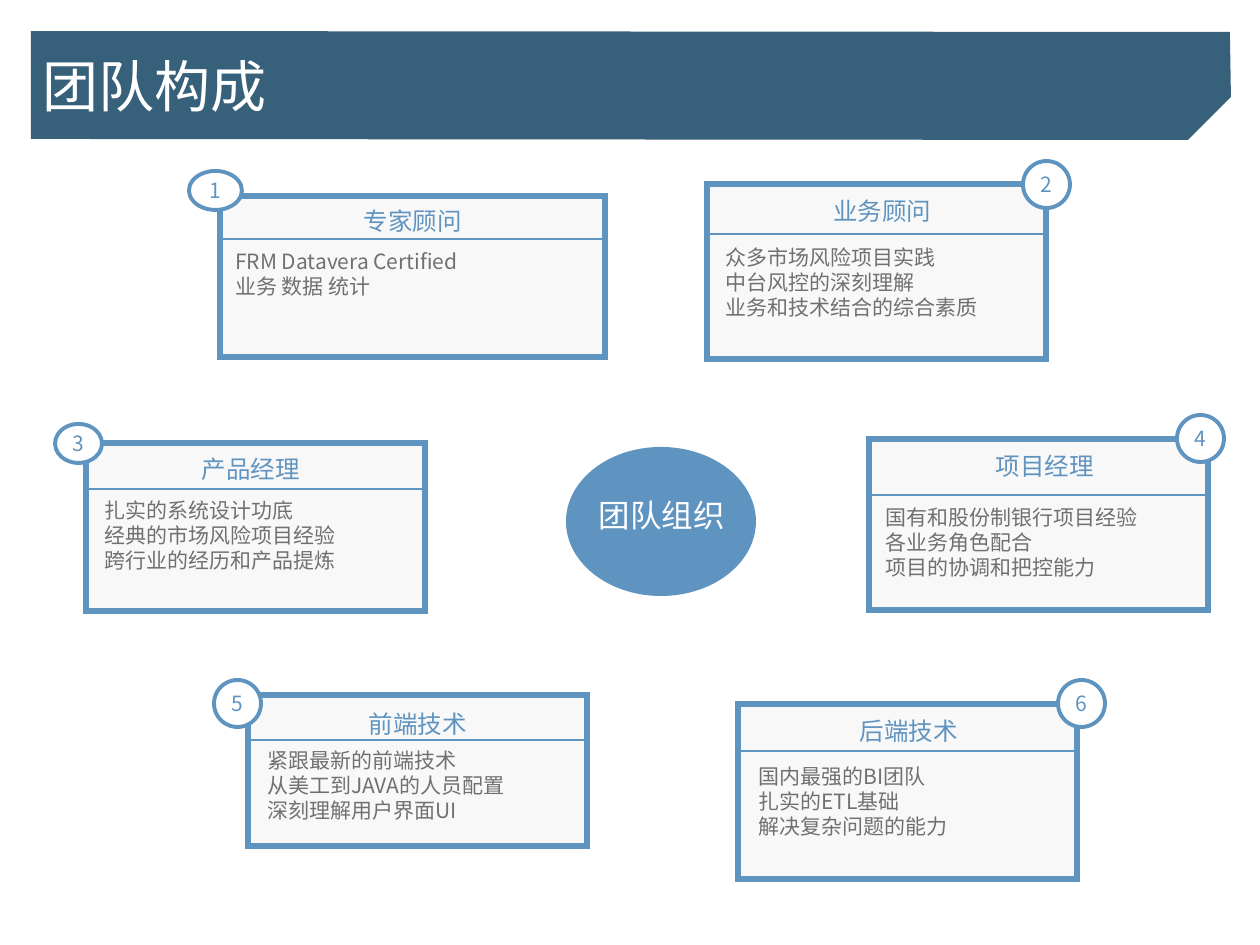
from dataclasses import dataclass

from lxml.etree import SubElement
from pptx import Presentation
from pptx.dml.color import RGBColor
from pptx.enum.shapes import MSO_CONNECTOR, MSO_SHAPE
from pptx.enum.text import MSO_ANCHOR as Anchor, MSO_AUTO_SIZE as AutoSize, PP_ALIGN as Align
from pptx.oxml.ns import qn
from pptx.util import Emu, Pt

EMU_PER_PX = 914400 / 126
RULE_INSET = 2
HEADING_HEIGHT = 43


@dataclass(frozen=True)
class Theme:
    font: str = "Noto Sans CJK SC"
    banner: str = "37617A"
    accent: str = "6094C0"
    panel: str = "F8F8F8"
    white: str = "FFFFFF"
    body: str = "707070"
    title_size: int = 32
    center_size: int = 18
    heading_size: int = 14
    body_size: int = 12


@dataclass(frozen=True)
class Card:
    """One team role; boxes are (left, top, width, height) in px."""
    number: int
    heading: str
    lines: tuple
    frame: tuple
    heading_box: tuple
    rule_y: int
    badge: tuple
    body_box: tuple
    heading_anchor: Anchor = Anchor.MIDDLE


THEME = Theme()

CARDS = (
    Card(1, "专家顾问", ("FRM Datavera Certified", "业务 数据 统计"),
         (220, 196, 385, 161), (228, 199, 370), 239,
         (189, 171, 53, 39), (223, 242, 364, 63)),
    Card(2, "业务顾问", ("众多市场风险项目实践", "中台风控的深刻理解", "业务和技术结合的综合素质"),
         (707, 184, 339, 175), (687, 190, 391), 234,
         (1023, 161, 47, 47), (713, 238, 326, 89), Anchor.TOP),
    Card(3, "产品经理", ("扎实的系统设计功底", "经典的市场风险项目经验", "跨行业的经历和产品提炼"),
         (86, 443, 339, 168), (88, 447, 326), 489,
         (55, 424, 47, 39), (92, 491, 326, 89)),
    Card(4, "项目经理", ("国有和股份制银行项目经验", "各业务角色配合", "项目的协调和把控能力"),
         (869, 439, 339, 171), (871, 445, 348), 495,
         (1177, 415, 47, 47), (873, 498, 326, 89), Anchor.TOP),
    Card(5, "前端技术", ("紧跟最新的前端技术", "从美工到JAVA的人员配置", "深刻理解用户界面UI"),
         (248, 695, 339, 151), (255, 702, 326), 740,
         (214, 680, 47, 47), (255, 741, 326, 89)),
    Card(6, "后端技术", ("国内最强的BI团队", "扎实的ETL基础", "解决复杂问题的能力"),
         (738, 704, 339, 175), (746, 709, 326), 751,
         (1058, 680, 47, 47), (746, 757, 326, 89)),
)


def px(*lengths):
    return [Emu(round(length * EMU_PER_PX)) for length in lengths]


def rgb(color):
    return RGBColor.from_string(color)


def write(frame, lines, size, color, align=Align.LEFT, anchor=Anchor.TOP):
    frame.text = "\n".join(lines)
    frame.vertical_anchor = anchor
    for para in frame.paragraphs:
        para.alignment = align
        for span in para.runs:
            span.font.size = Pt(size)
            span.font.name = THEME.font
            span.font.color.rgb = rgb(color)
            east_asian = SubElement(span.font._element, qn("a:ea"))
            east_asian.set("typeface", THEME.font)


def add_text(shapes, box, lines, size, color, **layout):
    frame = shapes.add_textbox(*px(*box)).text_frame
    frame.word_wrap = True
    frame.auto_size = AutoSize.SHAPE_TO_FIT_TEXT
    write(frame, lines, size, color, **layout)
    return frame


def paint(shape, fill, line_width=None):
    shape.shadow.inherit = False
    shape.fill.solid()
    shape.fill.fore_color.rgb = rgb(fill)
    if line_width is None:
        shape.line.fill.background()
    else:
        shape.line.color.rgb = rgb(THEME.accent)
        shape.line.width = Pt(line_width)
        outline = shape._element.spPr.find(qn("a:ln"))
        SubElement(outline, qn("a:miter")).set("lim", "800000")


def add_panel(shapes, kind, box, fill, line_width=None):
    shape = shapes.add_shape(kind, *px(*box))
    paint(shape, fill, line_width)
    return shape


def add_rule(shapes, left, right, y):
    rule = shapes.add_connector(MSO_CONNECTOR.STRAIGHT, *px(left, y, right, y))
    rule.line.color.rgb = rgb(THEME.accent)
    rule.line.width = Pt(1)
    SubElement(rule._element.spPr, qn("a:effectLst"))


def add_badge(shapes, box, number):
    badge = add_panel(shapes, MSO_SHAPE.OVAL, box, THEME.white, 2.25)
    frame = badge.text_frame
    frame.word_wrap = False
    frame.margin_left = frame.margin_right = frame.margin_top = frame.margin_bottom = 0
    write(frame, [str(number)], THEME.body_size, THEME.accent, Align.CENTER, Anchor.MIDDLE)


def add_card(page, card):
    shapes = page.shapes.add_group_shape().shapes
    left, _, width, _ = card.frame
    add_panel(shapes, MSO_SHAPE.RECTANGLE, card.frame, THEME.panel, 3)
    add_text(shapes, (*card.heading_box, HEADING_HEIGHT), [card.heading], THEME.heading_size,
             THEME.accent, align=Align.CENTER, anchor=card.heading_anchor)
    add_rule(shapes, left + RULE_INSET, left + width - RULE_INSET, card.rule_y)
    add_badge(shapes, card.badge, card.number)
    add_text(shapes, card.body_box, card.lines, THEME.body_size, THEME.body)


def add_banner(page, title):
    outline = page.shapes.build_freeform(31, 31, scale=EMU_PER_PX)
    outline.add_line_segments([(1230, 32), (1231, 97), (1188, 140), (31, 139)], close=True)
    paint(outline.convert_to_shape(), THEME.banner)
    frame = add_text(page.shapes, (33, 32, 1196, 107), [title], THEME.title_size,
                     THEME.white, anchor=Anchor.MIDDLE)
    frame.auto_size = AutoSize.NONE
    frame.margin_left, frame.margin_right, frame.margin_top, frame.margin_bottom = px(10, 10, 5, 5)


def add_center(page, label):
    """Draw the hub; its label sits slightly above the middle."""
    shapes = page.shapes.add_group_shape().shapes
    add_panel(shapes, MSO_SHAPE.OVAL, (566, 447, 190, 149), THEME.accent)
    frame = add_text(shapes, (602, 459, 120, 111), [label], THEME.center_size,
                     THEME.white, align=Align.CENTER, anchor=Anchor.MIDDLE)
    frame.auto_size = AutoSize.NONE
    frame.word_wrap = False


def main():
    deck = Presentation()
    deck.slide_width, deck.slide_height = px(1260, 945)
    page = deck.slides.add_slide(deck.slide_layouts[6])
    add_banner(page, "团队构成")
    add_center(page, "团队组织")
    for card in CARDS:
        add_card(page, card)
    deck.save("out.pptx")


if __name__ == "__main__":
    main()
